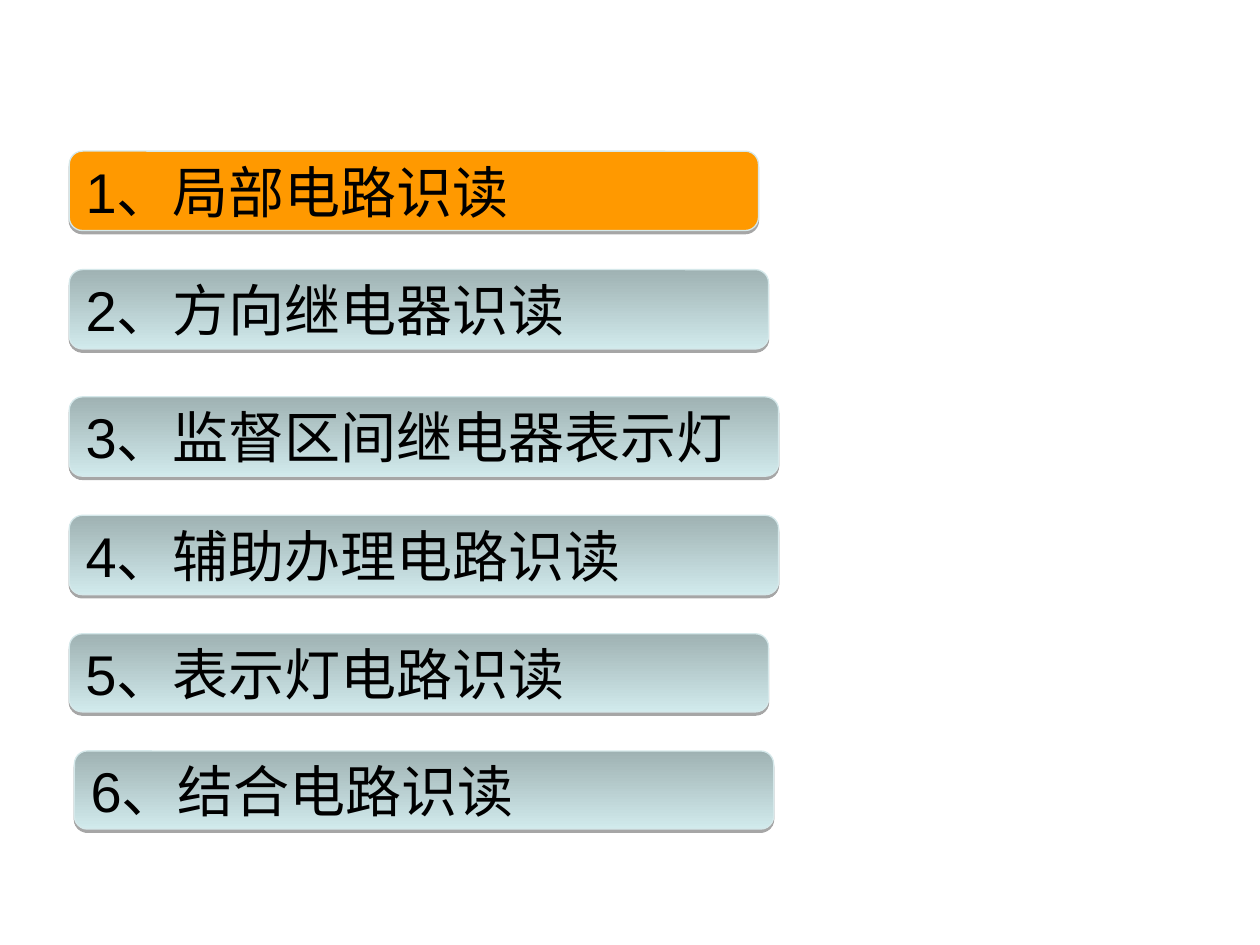
import dataclasses

import pptx
import pptx.dml.color
import pptx.enum.shapes
import pptx.enum.text
import pptx.oxml
import pptx.oxml.ns
import pptx.util

Inches = pptx.util.Inches
Pt = pptx.util.Pt

COLORS = {
    "active": "FF9900",
    "grad_top": "9FB2B3",
    "grad_bottom": "D1EAEC",
    "border": "D5E8EA",
    "text": "000000",
    "shadow": "000000",
}

FRAME_FORMAT = {
    "word_wrap": True,
    "vertical_anchor": pptx.enum.text.MSO_ANCHOR.MIDDLE,
    "margin_left": Inches(0.1),
    "margin_right": Inches(0.1),
    "margin_top": Inches(0.05),
    "margin_bottom": Inches(0.05),
}
FONT_FORMAT = {"name": "Arial", "size": Pt(32)}


@dataclasses.dataclass
class MenuItem:
    title: str
    top: float
    width: float
    left: float = 0.55
    height: float = 0.63
    active: bool = False


MENU = [
    MenuItem("局部电路识读", 1.2, 5.47, active=True),
    MenuItem("方向继电器识读", 2.14, 5.55),
    MenuItem("监督区间继电器表示灯", 3.15, 5.63),
    MenuItem("辅助办理电路识读", 4.09, 5.63),
    MenuItem("表示灯电路识读", 5.03, 5.55, height=0.62),
    MenuItem("结合电路识读", 5.96, 5.55, left=0.59, height=0.62),
]


def rgb(name: str) -> pptx.dml.color.RGBColor:
    return pptx.dml.color.RGBColor.from_string(COLORS[name])


def apply_format(target, values: dict) -> None:
    for name, value in values.items():
        setattr(target, name, value)


def fill_button(sp, active: bool) -> None:
    if active:
        sp.fill.solid()
        sp.fill.fore_color.rgb = rgb("active")
        return
    sp.fill.gradient()
    sp.fill.gradient_angle = 270  # counter-clockwise: top to bottom
    for stop, name in zip(sp.fill.gradient_stops, ("grad_top", "grad_bottom")):
        stop.color.rgb = rgb(name)


def add_shadow(sp) -> None:
    sp.shadow.inherit = False
    effects = sp._element.spPr.find(pptx.oxml.ns.qn("a:effectLst"))
    effects.append(pptx.oxml.parse_xml(
        f'<a:outerShdw {pptx.oxml.ns.nsdecls("a")} blurRad="0" '
        f'dist="{Pt(1.8)}" dir="5400000" algn="ctr" rotWithShape="0">'
        f'<a:srgbClr val="{COLORS["shadow"]}"><a:alpha val="34000"/></a:srgbClr>'
        '</a:outerShdw>'))


def add_tabs(p) -> None:
    tabs = "".join(f'<a:tab pos="{Inches(i)}" algn="l"/>' for i in range(8))
    p._p.get_or_add_pPr().append(pptx.oxml.parse_xml(
        f'<a:tabLst {pptx.oxml.ns.nsdecls("a")}>{tabs}</a:tabLst>'))


def add_button(s, number: int, item: MenuItem) -> None:
    sp = s.shapes.add_shape(
        pptx.enum.shapes.MSO_SHAPE.ROUNDED_RECTANGLE,
        Inches(item.left), Inches(item.top),
        Inches(item.width), Inches(item.height))
    fill_button(sp, item.active)
    sp.line.color.rgb = rgb("border")
    sp.line.width = Pt(0.75)
    add_shadow(sp)

    # Label
    tf = sp.text_frame
    apply_format(tf, FRAME_FORMAT)
    p = tf.paragraphs[0]
    add_tabs(p)
    p.alignment = pptx.enum.text.PP_ALIGN.LEFT
    r = p.add_run()
    r.text = f"{number}、{item.title}"
    apply_format(r.font, FONT_FORMAT)
    r.font.color.rgb = rgb("text")


def main() -> None:
    prs = pptx.Presentation()
    prs.slide_width = Inches(10)
    prs.slide_height = Inches(7.5)
    s = prs.slides.add_slide(prs.slide_layouts[6])

    # Numbered menu, current topic highlighted
    for number, item in enumerate(MENU, start=1):
        add_button(s, number, item)

    prs.save("out.pptx")


if __name__ == "__main__":
    main()
